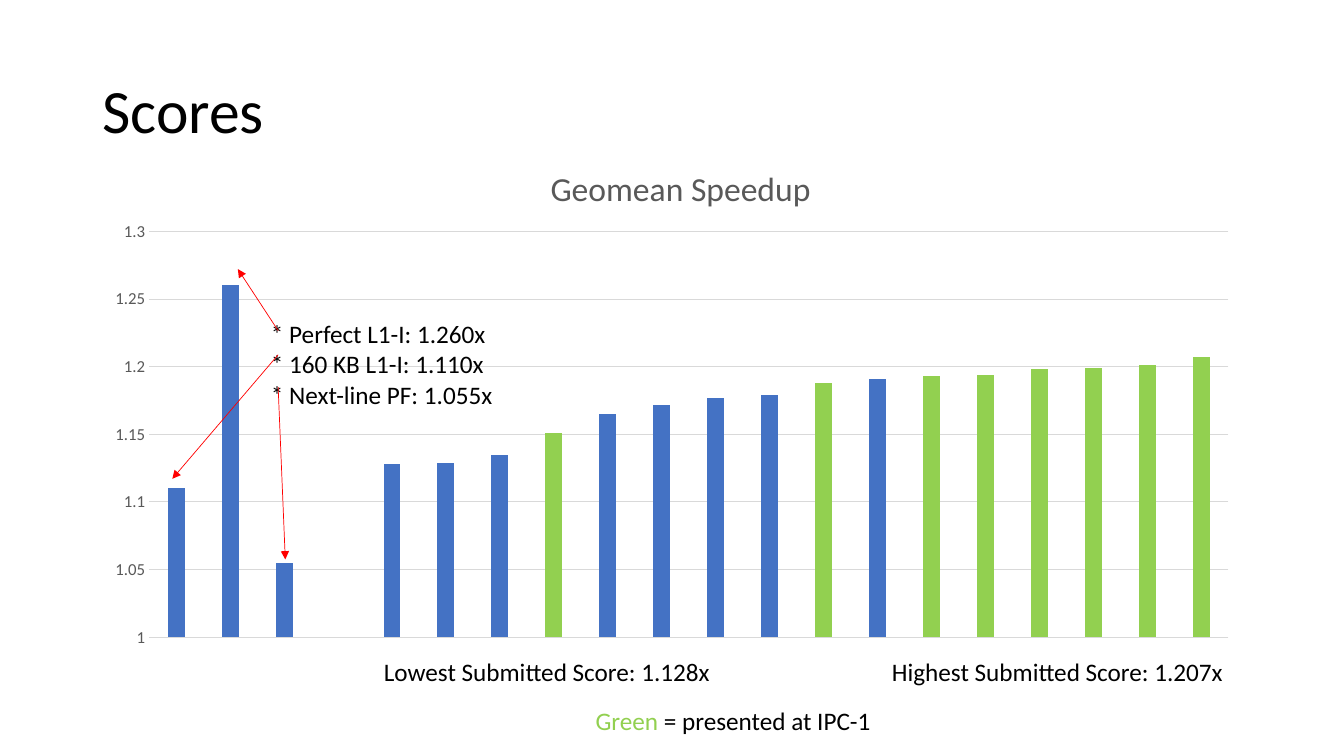
from pptx import Presentation
from pptx.chart.data import CategoryChartData
from pptx.dml.color import RGBColor
from pptx.enum.chart import XL_CHART_TYPE, XL_TICK_MARK
from pptx.enum.shapes import MSO_CONNECTOR
from pptx.enum.text import MSO_ANCHOR, MSO_AUTO_SIZE
from pptx.oxml import parse_xml
from pptx.oxml.ns import nsdecls, qn
from pptx.util import Pt

FONT = "Calibri"
COLORS = {"text": "000000", "muted": "595959", "grid": "D9D9D9",
          "bar": "4472C4", "presented": "92D050", "arrow": "FF0000"}
SCORES = [1.11, 1.26, 1.055, None, 1.128, 1.129, 1.135, 1.151, 1.165, 1.172,
          1.177, 1.179, 1.188, 1.191, 1.193, 1.194, 1.198, 1.199, 1.201, 1.207]
PRESENTED = [7, 12, *range(14, 20)]


def color(name):
    """Return the named colour."""
    return RGBColor.from_string(COLORS[name])


def style_font(font, size, name="text"):
    """Set typeface, size and colour of a font."""
    font.name = FONT
    font.size = Pt(size)
    font.bold = False
    font.color.rgb = color(name)


def add_text(page, left, top, width, height, lines, size=18):
    """Add a text box; each line is a list of (text, colour name) runs."""
    box = page.shapes.add_textbox(Pt(left), Pt(top), Pt(width), Pt(height))
    frame = box.text_frame
    frame.word_wrap = True
    for index, line in enumerate(lines):
        para = frame.add_paragraph() if index else frame.paragraphs[0]
        for text, name in line:
            span = para.add_run()
            span.text = text
            style_font(span.font, size, name)
    return box


def add_heading(page, text):
    """Add the slide heading, centred vertically in its box."""
    box = add_text(page, 66, 28.75, 828, 104.4, [[(text, "text")]], size=44)
    box.text_frame.auto_size = MSO_AUTO_SIZE.NONE
    box.text_frame.vertical_anchor = MSO_ANCHOR.MIDDLE
    box.text_frame.paragraphs[0].line_spacing = 0.9


def add_arrow(page, start, end):
    """Add a thin arrow pointing at end."""
    points = [Pt(value) for value in (*start, *end)]
    arrow = page.shapes.add_connector(MSO_CONNECTOR.STRAIGHT, *points)
    arrow.line.color.rgb = color("arrow")
    arrow.line.width = Pt(0.5)
    arrow.line._get_or_add_ln().append(
        parse_xml(f'<a:tailEnd {nsdecls("a")} type="triangle"/>'))
    arrow._element.spPr.append(parse_xml(f'<a:effectLst {nsdecls("a")}/>'))


def make_layout(target="", **fractions):
    """Return a manual chart layout in fractions of the chart."""
    inner = f'<c:layoutTarget val="{target}"/>' if target else ""
    inner += '<c:xMode val="edge"/><c:yMode val="edge"/>'
    inner += "".join(f'<c:{key} val="{value}"/>' for key, value in fractions.items())
    return parse_xml(f'<c:layout {nsdecls("c")}><c:manualLayout>{inner}'
                     '</c:manualLayout></c:layout>')


def place_part(part, layout, position):
    """Give a chart part a layout in place of any it has."""
    for old in part.findall(qn("c:layout")):
        part.remove(old)
    part.insert(position, layout)


def add_score_chart(page):
    """Add the column chart of speedups, with presented entries in green."""
    data = CategoryChartData()
    data.categories = [str(number) for number in range(1, len(SCORES) + 1)]
    data.add_series("Series 1", SCORES)
    chart = page.shapes.add_chart(XL_CHART_TYPE.COLUMN_CLUSTERED, Pt(66), Pt(95.8),
                                  Pt(828), Pt(373.7), data).chart
    style_font(chart.font, 10)
    chart.has_legend = False

    chart.has_title = True
    span = chart.chart_title.text_frame.paragraphs[0].add_run()
    span.text = "Geomean Speedup"
    style_font(span.font, 24, "muted")
    place_part(chart.chart_title._element, make_layout(x=0.39, y=0.05), 1)
    place_part(chart._chartSpace.chart.plotArea,
               make_layout("inner", x=0.049, y=0.186, w=0.931, h=0.776), 0)

    chart.category_axis.visible = False
    axis = chart.value_axis
    axis.minimum_scale, axis.maximum_scale, axis.major_unit = 1, 1.3, 0.05
    axis.major_tick_mark = axis.minor_tick_mark = XL_TICK_MARK.NONE
    axis.format.line.fill.background()
    axis.major_gridlines.format.line.color.rgb = color("grid")
    axis.major_gridlines.format.line.width = Pt(0.75)
    axis.tick_labels.number_format = "General"
    axis.tick_labels.number_format_is_linked = False
    style_font(axis.tick_labels.font, 12, "muted")

    plot = chart.plots[0]
    plot.gap_width, plot.overlap = 219, -27
    plot.vary_by_categories = False
    series = plot.series[0]
    fills = [series.format.fill]
    fills += [series.points[index].format.fill for index in PRESENTED]
    for fill in fills:
        fill.solid()
        fill.fore_color.rgb = color("presented")
    fills[0].fore_color.rgb = color("bar")


def main():
    """Build and save the slide."""
    deck = Presentation()
    deck.slide_width, deck.slide_height = Pt(960), Pt(540)
    page = deck.slides.add_slide(deck.slide_layouts[6])
    add_heading(page, "Scores")
    add_score_chart(page)
    baselines = ["* Perfect L1-I: 1.260x", "* 160 KB L1-I: 1.110x",
                 "* Next-line PF: 1.055x"]
    add_text(page, 186.5, 223.9, 272, 72.7, [[(line, "text")] for line in baselines])
    for start_y, end in [(236.2, (169.9, 192.2)), (253.4, (123.1, 342)),
                         (276.5, (203.8, 399.6))]:
        add_arrow(page, (198.7, start_y), end)
    add_text(page, 267.1, 465.1, 250, 29,
             [[("Lowest Submitted Score: 1.128x", "text")]])
    add_text(page, 630, 465.1, 253, 29,
             [[("Highest Submitted Score: 1.207x", "text")]])
    add_text(page, 418.3, 500.4, 226, 29,
             [[("Green", "presented"), (" = presented at IPC-1", "text")]])
    deck.save("out.pptx")


main()
